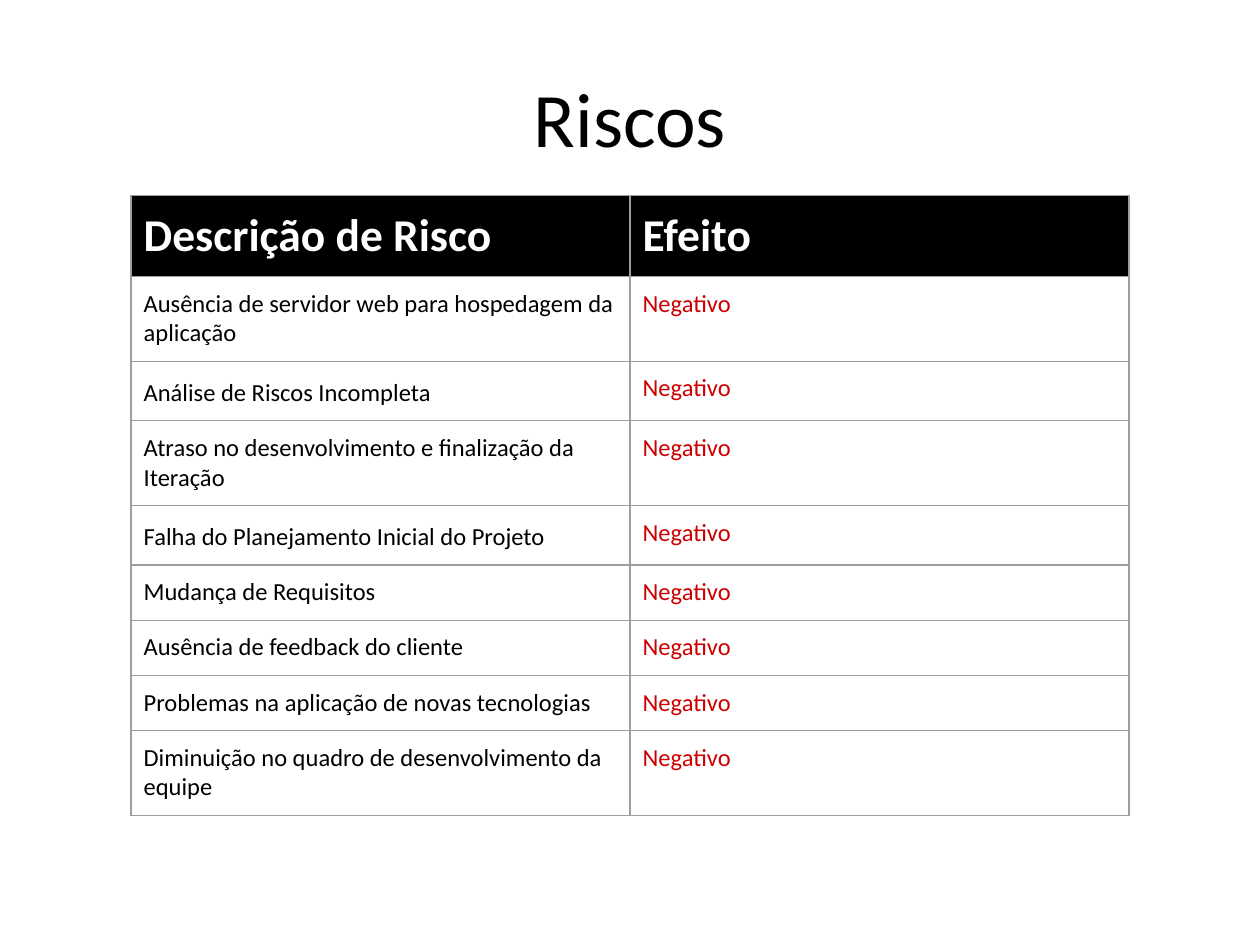
"""Build the risk table slide."""
from lxml import etree
from pptx import Presentation
from pptx.dml.color import RGBColor
from pptx.enum.text import MSO_ANCHOR, PP_ALIGN
from pptx.oxml.ns import qn
from pptx.util import Inches, Pt

MIDDLE = MSO_ANCHOR.MIDDLE
CENTER = PP_ALIGN.CENTER
FONT = "Calibri"
COLORS = {"black": "000000", "white": "FFFFFF", "red": "CC0000", "border": "9E9E9E"}
HEADERS = ("Descrição de Risco", "Efeito")
EFFECT = "Negativo"
RISKS = [
    ("Ausência de servidor web para hospedagem da aplicação", 1),
    ("Análise de Riscos Incompleta", 1.15),
    ("Atraso no desenvolvimento e finalização da Iteração", 1),
    ("Falha do Planejamento Inicial do Projeto", 1.15),
    ("Mudança de Requisitos", 1),
    ("Ausência de feedback do cliente", 1),
    ("Problemas na aplicação de novas tecnologias", 1),
    ("Diminuição no quadro de desenvolvimento da equipe", 1),
]


class SlideBuilder:
    def __init__(self, slide):
        self.s = slide

    def add_text(self, tf, text, size, color, bold=False):
        p = tf.paragraphs[0]
        r = p.add_run()
        r.text = text
        r.font.name = FONT
        r.font.size = Pt(size)
        r.font.bold = bold
        r.font.color.rgb = RGBColor.from_string(COLORS[color])
        return p

    def title(self, text, left, top, width, height):
        sp = self.s.shapes.title
        sp.left, sp.top = Inches(left), Inches(top)
        sp.width, sp.height = Inches(width), Inches(height)
        sp.text_frame.vertical_anchor = MIDDLE
        self.add_text(sp.text_frame, text, 44, "black").alignment = CENTER

    def borders(self, cell):
        tcPr = cell._tc.get_or_add_tcPr()
        for i, side in enumerate(("lnL", "lnR", "lnT", "lnB")):
            ln = etree.Element(qn(f"a:{side}"), w=str(Pt(0.75)))
            fill = etree.SubElement(ln, qn("a:solidFill"))
            etree.SubElement(fill, qn("a:srgbClr"), val=COLORS["border"])
            tcPr.insert(i, ln)

    def cell(self, cell, text, size, color, bold=False, fill=None, spacing=1):
        cell.margin_left = cell.margin_right = Inches(0.1)
        cell.margin_top = cell.margin_bottom = Inches(0.1)
        if fill:
            cell.fill.solid()
            cell.fill.fore_color.rgb = RGBColor.from_string(COLORS[fill])
        else:
            cell.fill.background()
        self.borders(cell)
        p = self.add_text(cell.text_frame, text, size, color, bold)
        if spacing != 1:
            p.line_spacing = spacing

    def table(self, headers, risks, left, top, col_width, row_height):
        rows, cols = len(risks) + 1, len(headers)
        table = self.s.shapes.add_table(
            rows, cols, Inches(left), Inches(top),
            Inches(col_width * cols), Inches(row_height * rows)).table
        table.horz_banding = False
        for col in table.columns:
            col.width = Inches(col_width)
        for row in table.rows:
            row.height = Inches(row_height)
        for i, text in enumerate(headers):
            self.cell(table.cell(0, i), text, 26, "white", bold=True, fill="black")
        for i, (risk, spacing) in enumerate(risks, 1):
            self.cell(table.cell(i, 0), risk, 14, "black", spacing=spacing)
            self.cell(table.cell(i, 1), EFFECT, 14, "red")


def main():
    prs = Presentation()
    prs.slide_width, prs.slide_height = Inches(10), Inches(7.5)
    builder = SlideBuilder(prs.slides.add_slide(prs.slide_layouts[5]))
    builder.title("Riscos", 0.5, 0.3, 9, 1.25)
    builder.table(HEADERS, RISKS, 1.04, 1.55, 3.96, 0.42)
    prs.save("out.pptx")


if __name__ == "__main__":
    main()
